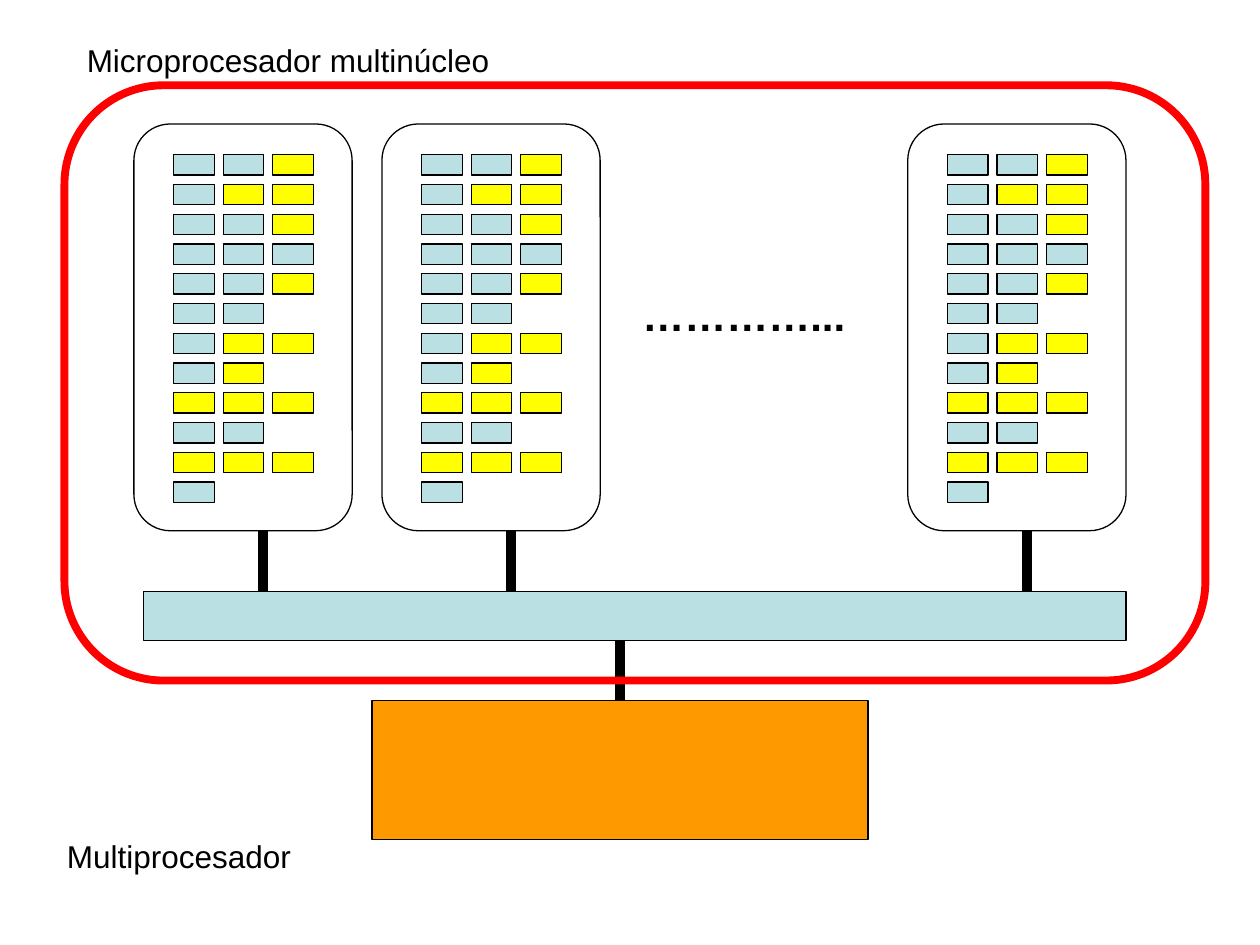
from lxml import etree
from pptx import Presentation
from pptx import util as u
from pptx.dml import color
from pptx.enum import shapes, text

BLUE = color.RGBColor(0xBB, 0xE0, 0xE3)
YELLOW = color.RGBColor(0xFF, 0xFF, 0x00)
ORANGE = color.RGBColor(0xFF, 0x99, 0x00)
RED = color.RGBColor(0xFF, 0x00, 0x00)
BLACK = color.RGBColor(0x00, 0x00, 0x00)

RECT = shapes.MSO_SHAPE.RECTANGLE
ROUND = shapes.MSO_SHAPE.ROUNDED_RECTANGLE
TINTS = {"b": BLUE, "y": YELLOW}
ROWS = "bby byy bby bbb bby bb byy by yyy bb yyy b".split()
CORES = ((2.7, 5.3), (7.7, 10.3), (18.3, 20.7))
TOP = 2.5
BUS = 11.92
NS = "http://schemas.openxmlformats.org/drawingml/2006/main"


def put(obj, vals):
    for key, val in vals.items():
        setattr(obj, key, val)


def box(slide, kind, area, fill=None, edge=BLACK, width=0.75):
    shape = slide.shapes.add_shape(kind, *map(u.Cm, area))
    shape.shadow.inherit = False
    if fill is None:
        shape.fill.background()
    else:
        shape.fill.solid()
        shape.fill.fore_color.rgb = fill
    shape.line.color.rgb = edge
    shape.line.width = u.Pt(width)


def stem(slide, x, top, end):
    ends = map(u.Cm, (x, top, x, end))
    line = slide.shapes.add_connector(shapes.MSO_CONNECTOR.STRAIGHT, *ends)
    line.line.color.rgb = BLACK
    line.line.width = u.Pt(6)
    etree.SubElement(line.line._get_or_add_ln().getparent(), f"{{{NS}}}effectLst")


def label(slide, words, area, size=18, bold=False, before=11.2):
    frame = slide.shapes.add_textbox(*map(u.Cm, area)).text_frame
    put(frame, {"word_wrap": True, "auto_size": text.MSO_AUTO_SIZE.SHAPE_TO_FIT_TEXT})
    para = frame.paragraphs[0]
    para.space_before = u.Pt(before)
    run = para.add_run()
    run.text = words
    put(run.font, {"name": "Arial", "size": u.Pt(size), "bold": bold})
    run.font.color.rgb = BLACK


def core(slide, left):
    for i, row in enumerate(ROWS):
        for j, tint in enumerate(row):
            area = (left + 0.8 + j, TOP + 0.62 + 0.6 * i, 0.82, 0.41)
            box(slide, RECT, area, TINTS[tint])
    box(slide, ROUND, (left, TOP, 4.4, 8.2))


def main():
    deck = Presentation()
    put(deck, {"slide_width": u.Cm(25.4), "slide_height": u.Cm(19.05)})
    slide = deck.slides.add_slide(deck.slide_layouts[6])
    for left, _ in CORES:
        core(slide, left)
    label(slide, "…………...", (12.7, 5.71, 4.8, 1.27), 24, True, 15)
    box(slide, RECT, (2.9, BUS, 19.8, 1), BLUE)
    for _, x in CORES:
        stem(slide, x, TOP + 8.2, BUS)
    box(slide, RECT, (7.5, 14.12, 10, 2.8), ORANGE)
    stem(slide, 12.5, BUS + 1, 14.12)
    label(slide, "Multiprocesador", (1.1, 16.74, 7.6, 1.02))
    box(slide, ROUND, (1.3, 1.72, 23, 12), edge=RED, width=4.5)
    label(slide, "Microprocesador multinúcleo", (1.5, 0.71, 11, 1.02))
    deck.save("out.pptx")


if __name__ == "__main__":
    main()
